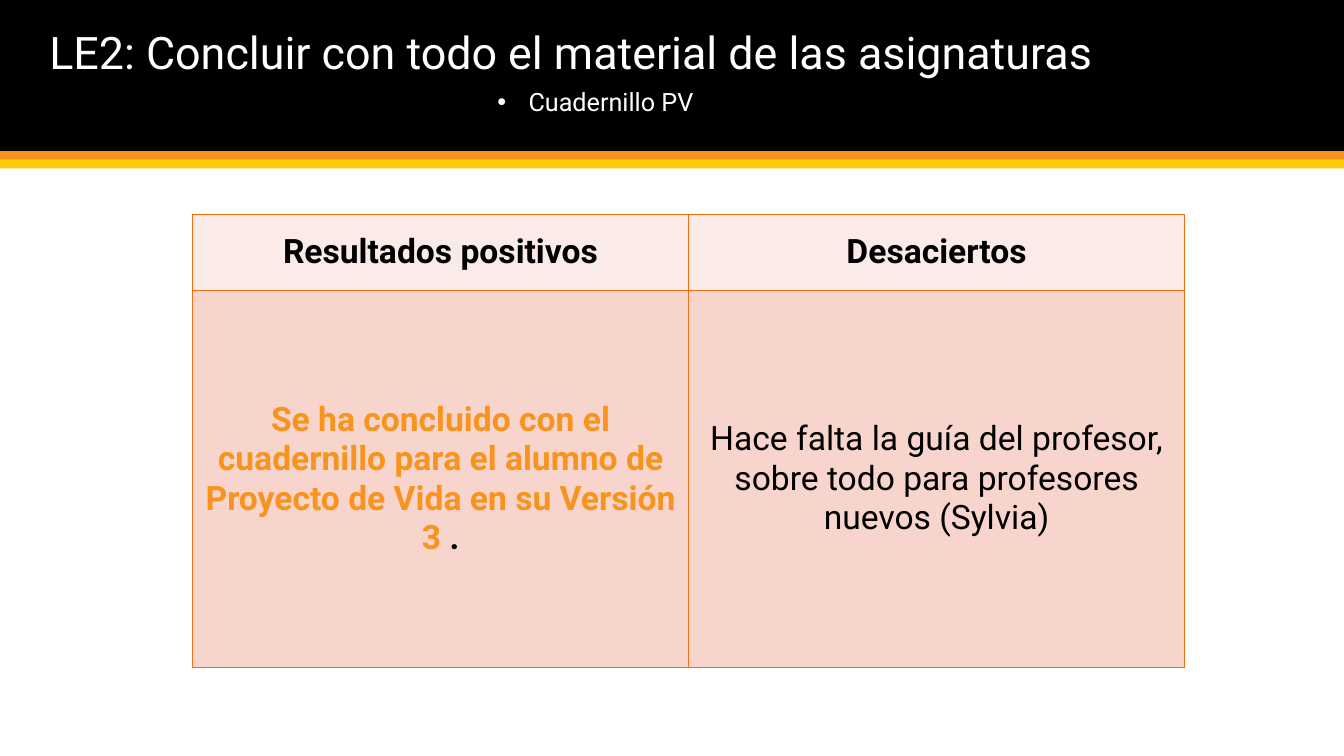
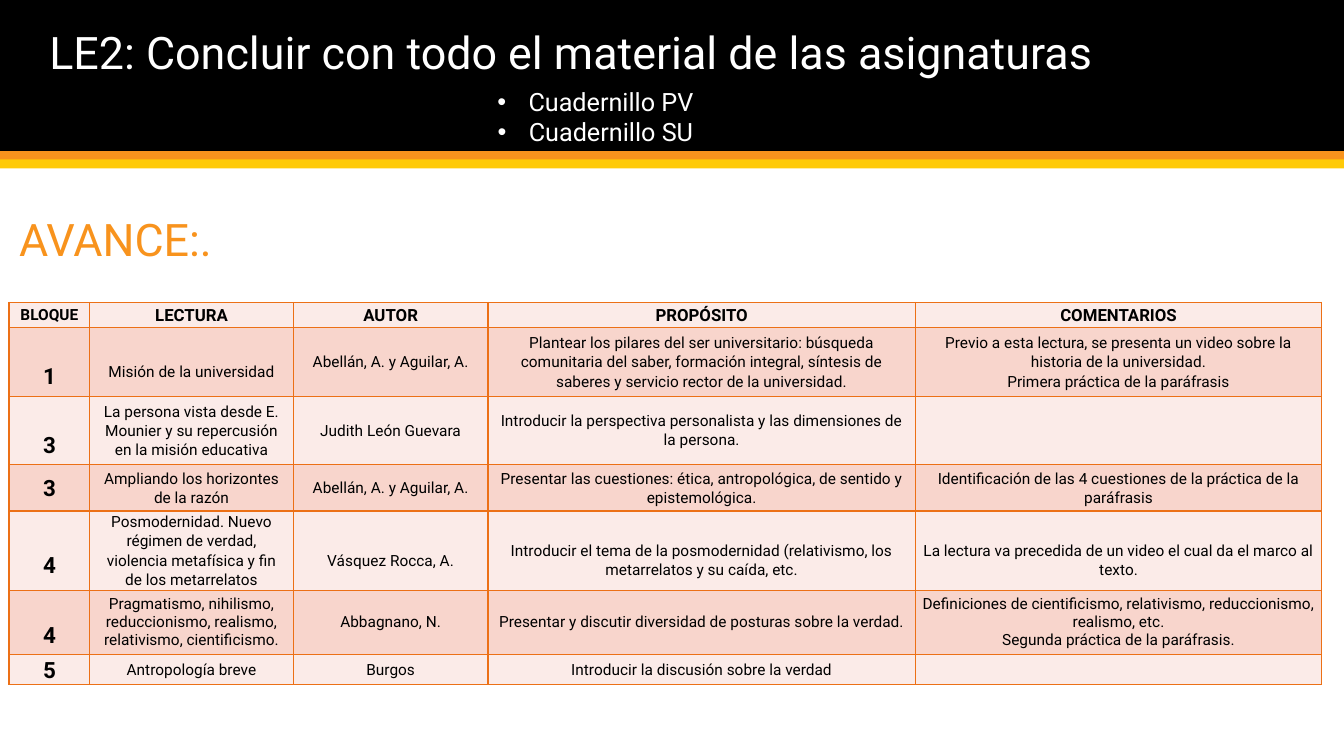
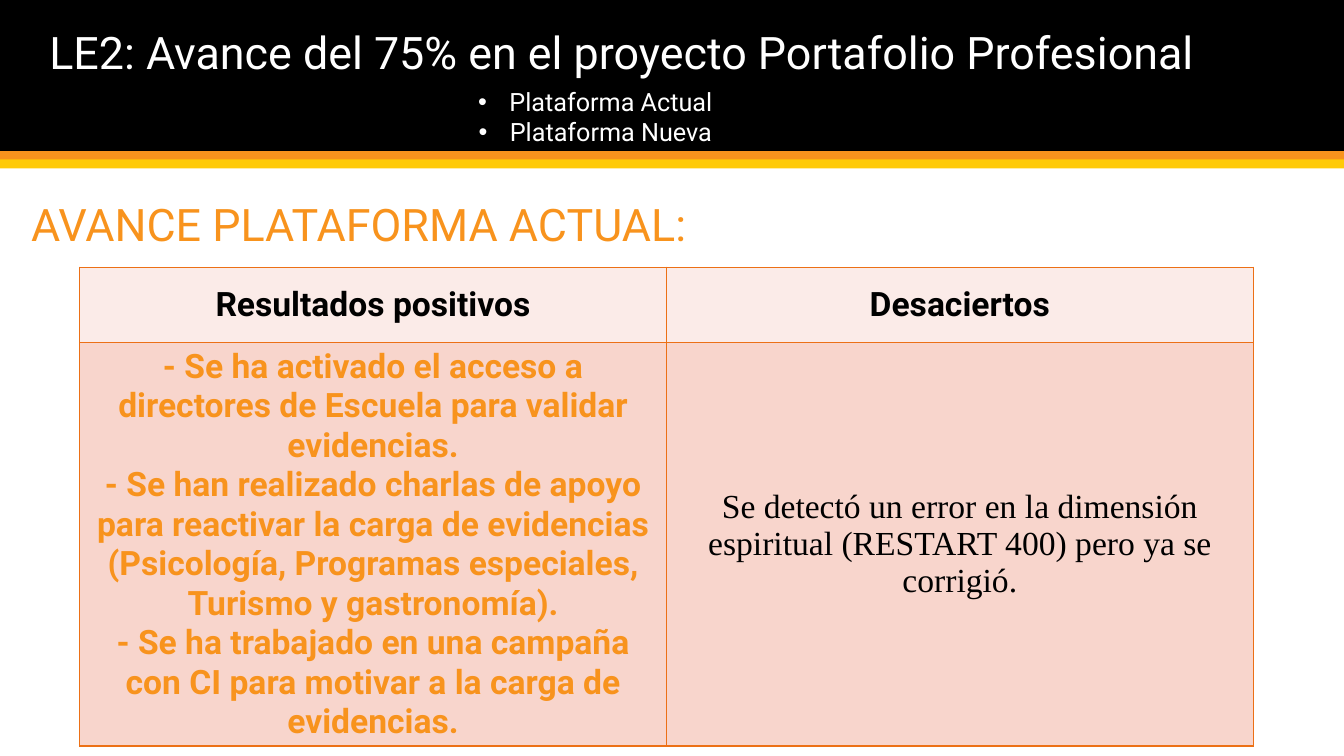
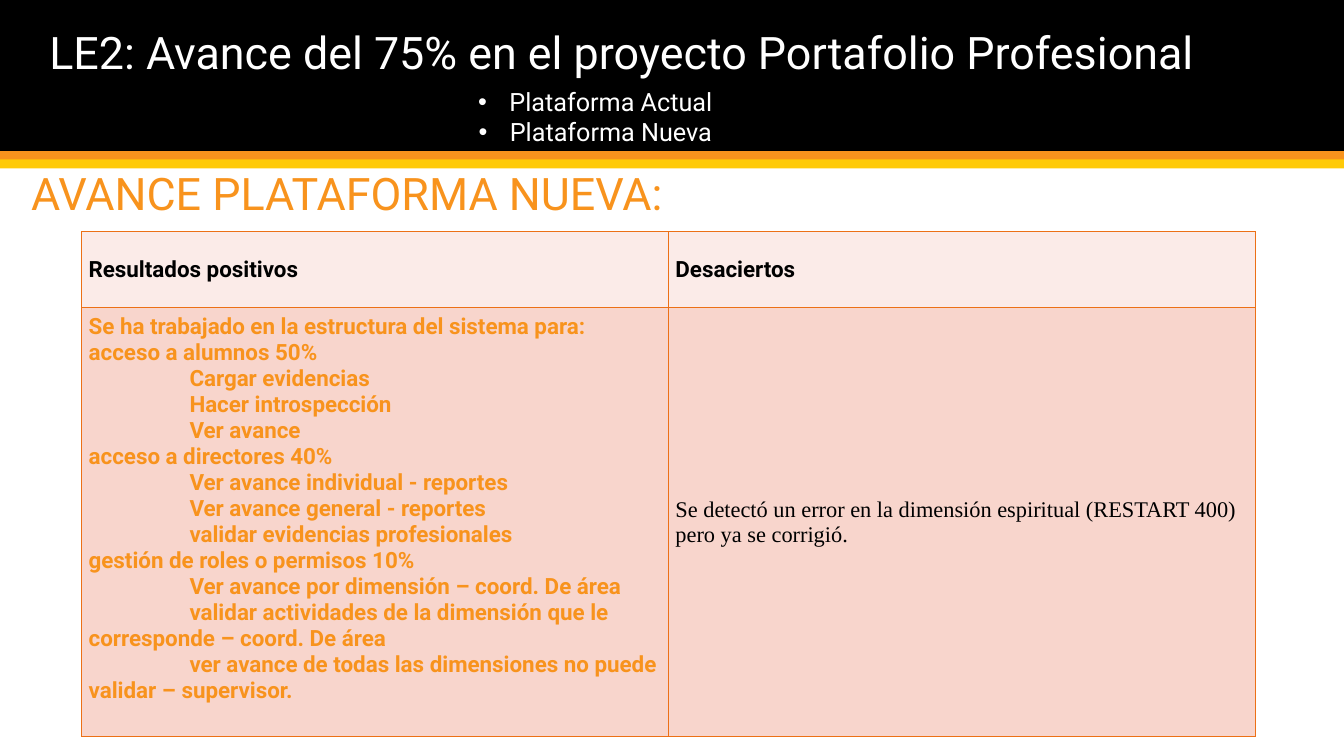
from lxml import etree
from pptx import Presentation
from pptx.dml.color import RGBColor
from pptx.enum import shapes, text
from pptx.oxml.ns import qn
from pptx.util import Inches, Pt

COLORS = {
    "black": "000000",
    "white": "FFFFFF",
    "orange": "F8931D",
    "yellow": "FFCA08",
    "border": "EC7016",
    "light": "FBEBE8",
    "rose": "F8D5CC",
}
SANS, SERIF = "Roboto", "Times New Roman"
CENTER, LEFT = text.PP_ALIGN.CENTER, text.PP_ALIGN.LEFT
MIDDLE, TOP, BOTTOM = (text.MSO_ANCHOR.MIDDLE, text.MSO_ANCHOR.TOP,
                       text.MSO_ANCHOR.BOTTOM)
SLIDE_WIDTH, SLIDE_HEIGHT = 13.33, 7.5
BANDS = [(0, 1.5, "black"), (1.5, 0.09, "orange"), (1.58, 0.09, "yellow")]

MATERIAL = "LE2: Concluir con todo el material de las asignaturas"
PORTFOLIO = "LE2: Avance del 75% en el proyecto Portafolio Profesional"
PLATFORMS = ["Plataforma Actual", "Plataforma Nueva"]
SPIRITUAL_ERROR = ("Se detectó un error en la dimensión espiritual "
                   "(RESTART 400) pero ya se corrigió.")

ACTIVATED = [
    "- Se ha activado el acceso a directores de Escuela para validar evidencias.",
    "- Se han realizado charlas de apoyo para reactivar la carga de evidencias "
    "(Psicología, Programas especiales, Turismo y gastronomía).",
    "- Se ha trabajado en una campaña con CI para motivar a la carga de evidencias.",
]
STRUCTURE = [
    ("Se ha trabajado en la estructura del sistema para:", []),
    ("acceso a alumnos 50%",
     ["Cargar evidencias", "Hacer introspección", "Ver avance"]),
    ("acceso a directores 40%",
     ["Ver avance individual - reportes", "Ver avance general - reportes",
      "validar evidencias profesionales"]),
    ("gestión de roles o permisos 10%",
     ["Ver avance por dimensión – coord. De área",
      "validar actividades de la dimensión que le corresponde – coord. De área",
      "ver avance de todas las dimensiones no puede validar – supervisor."]),
]

READING_HEADS = ["BLOQUE", "LECTURA", "AUTOR", "PROPÓSITO", "COMENTARIOS"]
READING_WIDTHS = [0.8, 2.02, 1.93, 4.24, 4.03]
READINGS = [
    (0.68, 1.07, (0.28, 0.19, 0, 0, 0),
     ["1", "Misión de la universidad", "Abellán, A. y Aguilar, A.",
      "Plantear los pilares del ser universitario: búsqueda comunitaria del "
      "saber, formación integral, síntesis de saberes y servicio rector de la "
      "universidad.",
      "Previo a esta lectura, se presenta un video sobre la historia de la "
      "universidad.\nPrimera práctica de la paráfrasis"]),
    (0.68, 1.07, (0.28, 0, 0, 0, 0),
     ["3", "La persona vista desde E. Mounier y su repercusión en la misión "
      "educativa", "Judith León Guevara",
      "Introducir la perspectiva personalista y las dimensiones de la persona.",
      ""]),
    (0.46, 1.07, (0, 0, 0, 0, 0),
     ["3", "Ampliando los horizontes de la razón", "Abellán, A. y Aguilar, A.",
      "Presentar las cuestiones: ética, antropológica, de sentido y "
      "epistemológica.",
      "Identificación de las 4 cuestiones de la práctica de la paráfrasis"]),
    (0.78, 1.07, (0.28, 0, 0.19, 0.19, 0.19),
     ["4", "Posmodernidad. Nuevo régimen de verdad, violencia metafísica y fin "
      "de los metarrelatos", "Vásquez Rocca, A.",
      "Introducir el tema de la posmodernidad (relativismo, los metarrelatos y "
      "su caída, etc.",
      "La lectura va precedida de un video el cual da el marco al texto."]),
    (0.64, 1, (0.26, 0, 0, 0, 0),
     ["4", "Pragmatismo, nihilismo, reduccionismo, realismo, relativismo, "
      "cientificismo.", "Abbagnano, N.",
      "Presentar y discutir diversidad de posturas sobre la verdad.",
      "Definiciones de cientificismo, relativismo, reduccionismo, realismo, "
      "etc.\nSegunda práctica de la paráfrasis."]),
    (0.28, 1.07, (0, 0, 0, 0, 0),
     ["5", "Antropología breve", "Burgos",
      "Introducir la discusión sobre la verdad", ""]),
]


def rgb(color):
    return RGBColor.from_string(COLORS[color])


def style(size, color="black", bold=False, name=SANS):
    return {"size": Pt(size), "bold": bold, "name": name, "color": color}


def add_run(paragraph, words, look):
    run = paragraph.add_run()
    run.text = words
    for key, value in look.items():
        if key == "color":
            run.font.color.rgb = rgb(value)
        else:
            setattr(run.font, key, value)


def set_indent(paragraph, margin, first_line):
    properties = paragraph._p.get_or_add_pPr()
    properties.set("marL", str(Inches(margin)))
    properties.set("indent", str(Inches(first_line)))
    return properties


def write(frame, paragraphs, align=LEFT, spacing=1, bullet=False, indents=()):
    for number, runs in enumerate(paragraphs):
        paragraph = frame.paragraphs[0] if number == 0 else frame.add_paragraph()
        if bullet:
            properties = set_indent(paragraph, 0.31, -0.31)
            etree.SubElement(properties, qn("a:buFont"), typeface="Arial")
            etree.SubElement(properties, qn("a:buChar"), char="•")
        elif number in indents:
            set_indent(paragraph, 0, 1)
        paragraph.alignment = align
        if spacing != 1:
            paragraph.line_spacing = spacing
        for words, look in runs:
            add_run(paragraph, words, look)


def add_text(slide, box, paragraphs, anchor=TOP, **layout):
    frame = slide.shapes.add_textbox(*map(Inches, box)).text_frame
    frame.word_wrap = True
    frame.vertical_anchor = anchor
    write(frame, paragraphs, **layout)


def add_header(slide, title, topics):
    for top, height, color in BANDS:
        band = slide.shapes.add_shape(
            shapes.MSO_SHAPE.RECTANGLE, 0, Inches(top),
            Inches(SLIDE_WIDTH), Inches(height))
        band.shadow.inherit = False
        band.fill.solid()
        band.fill.fore_color.rgb = rgb(color)
        band.line.fill.background()
    add_text(slide, (0.39, 0.2, 12.82, 0.64), [[(title, style(32, "white"))]])
    add_text(slide, (-0.44, 0.81, 12.69, 0.1 + 0.3 * len(topics)),
             [[(topic, style(18, "white"))] for topic in topics],
             align=CENTER, bullet=True)


def add_progress(slide, left, bottom, words):
    add_text(slide, (left, bottom - 0.6, 13.12, 0.6),
             [[(words, style(32, "orange"))]], anchor=BOTTOM, spacing=0.9)


def add_grid(slide, left, top, widths, heights):
    table = slide.shapes.add_table(
        len(heights), len(widths), Inches(left), Inches(top),
        Inches(sum(widths)), Inches(sum(heights))).table
    table.first_row = table.horz_banding = False
    for column, width in zip(table.columns, widths):
        column.width = Inches(width)
    for row, height in zip(table.rows, heights):
        row.height = Inches(height)
    return table


def fill_cell(cell, color, paragraphs, above=0, below=0, **layout):
    margins = {"left": 0.07, "top": above, "right": 0.07, "bottom": below}
    for side, length in margins.items():
        setattr(cell, f"margin_{side}", Inches(length))
    cell.vertical_anchor = MIDDLE
    properties = cell._tc.get_or_add_tcPr()
    for side in ("lnL", "lnR", "lnT", "lnB"):
        line = etree.SubElement(properties, qn(f"a:{side}"), w=str(Pt(1)))
        solid = etree.SubElement(line, qn("a:solidFill"))
        etree.SubElement(solid, qn("a:srgbClr"), val=COLORS["border"])
    cell.fill.solid()
    cell.fill.fore_color.rgb = rgb(color)
    write(cell.text_frame, paragraphs, **layout)


def add_results(slide, box, size, positives, mistakes, align=CENTER, below=0,
                indents=()):
    left, top, width, height = box
    table = add_grid(slide, left, top, [width / 2] * 2, [0.75, height - 0.75])
    for column, head in enumerate(["Resultados positivos", "Desaciertos"]):
        fill_cell(table.cell(0, column), "light",
                  [[(head, style(size, bold=True))]], align=align)
    fill_cell(table.cell(1, 0), "rose", positives, below=below, align=align,
              indents=indents)
    fill_cell(table.cell(1, 1), "rose", [[mistakes]], align=align)


def add_readings(slide, left, top):
    heights = [0.25] + [height for height, *_ in READINGS]
    table = add_grid(slide, left, top, READING_WIDTHS, heights)
    for column, head in enumerate(READING_HEADS):
        look = style(12 if column else 11, bold=True)
        fill_cell(table.cell(0, column), "light", [[(head, look)]],
                  align=CENTER, spacing=1.07)
    for row, (_, spacing, gaps, entries) in enumerate(READINGS, 1):
        for column, (entry, gap) in enumerate(zip(entries, gaps)):
            look = style(11) if column else style(16, bold=True)
            fill_cell(table.cell(row, column), "rose" if row % 2 else "light",
                      [[(line, look)] for line in entry.split("\n")],
                      above=gap, align=CENTER, spacing=spacing)


def build_workbook(slide):
    add_header(slide, MATERIAL, ["Cuadernillo PV"])
    finished = [
        ("Se ha concluido con el cuadernillo para el alumno de Proyecto de Vida "
         "en su Versión 3 ", style(24, "orange", True)),
        (".", style(24, bold=True)),
    ]
    missing = ("Hace falta la guía del profesor, sobre todo para profesores "
               "nuevos (Sylvia)", style(24))
    add_results(slide, (1.91, 2.13, 9.84, 4.49), 24, [finished], missing)


def build_readings(slide):
    add_header(slide, MATERIAL, ["Cuadernillo PV", "Cuadernillo SU"])
    add_progress(slide, 0.09, 2.69, "AVANCE:.")
    add_readings(slide, 0.09, 3)


def build_current_platform(slide):
    add_header(slide, PORTFOLIO, PLATFORMS)
    add_progress(slide, 0.21, 2.54, "AVANCE PLATAFORMA ACTUAL:")
    add_results(slide, (0.79, 2.65, 11.64, 4.75), 24,
                [[(line, style(24, "orange", True))] for line in ACTIVATED],
                (SPIRITUAL_ERROR, style(24, name=SERIF)))


def build_new_platform(slide):
    add_header(slide, PORTFOLIO, PLATFORMS)
    add_progress(slide, 0.21, 2.23, "AVANCE PLATAFORMA NUEVA:")
    lines, indents = [], []
    for access, tasks in STRUCTURE:
        lines.append(access)
        indents.extend(range(len(lines), len(lines) + len(tasks)))
        lines.extend(tasks)
    add_results(slide, (0.81, 2.3, 11.64, 5.01), 16,
                [[(line, style(16, "orange", True))] for line in lines],
                (SPIRITUAL_ERROR, style(16, name=SERIF)),
                align=LEFT, below=0.26, indents=indents)


def main():
    deck = Presentation()
    deck.slide_width = Inches(SLIDE_WIDTH)
    deck.slide_height = Inches(SLIDE_HEIGHT)
    for build in (build_workbook, build_readings, build_current_platform,
                  build_new_platform):
        build(deck.slides.add_slide(deck.slide_layouts[6]))
    deck.save("out.pptx")


if __name__ == "__main__":
    main()
